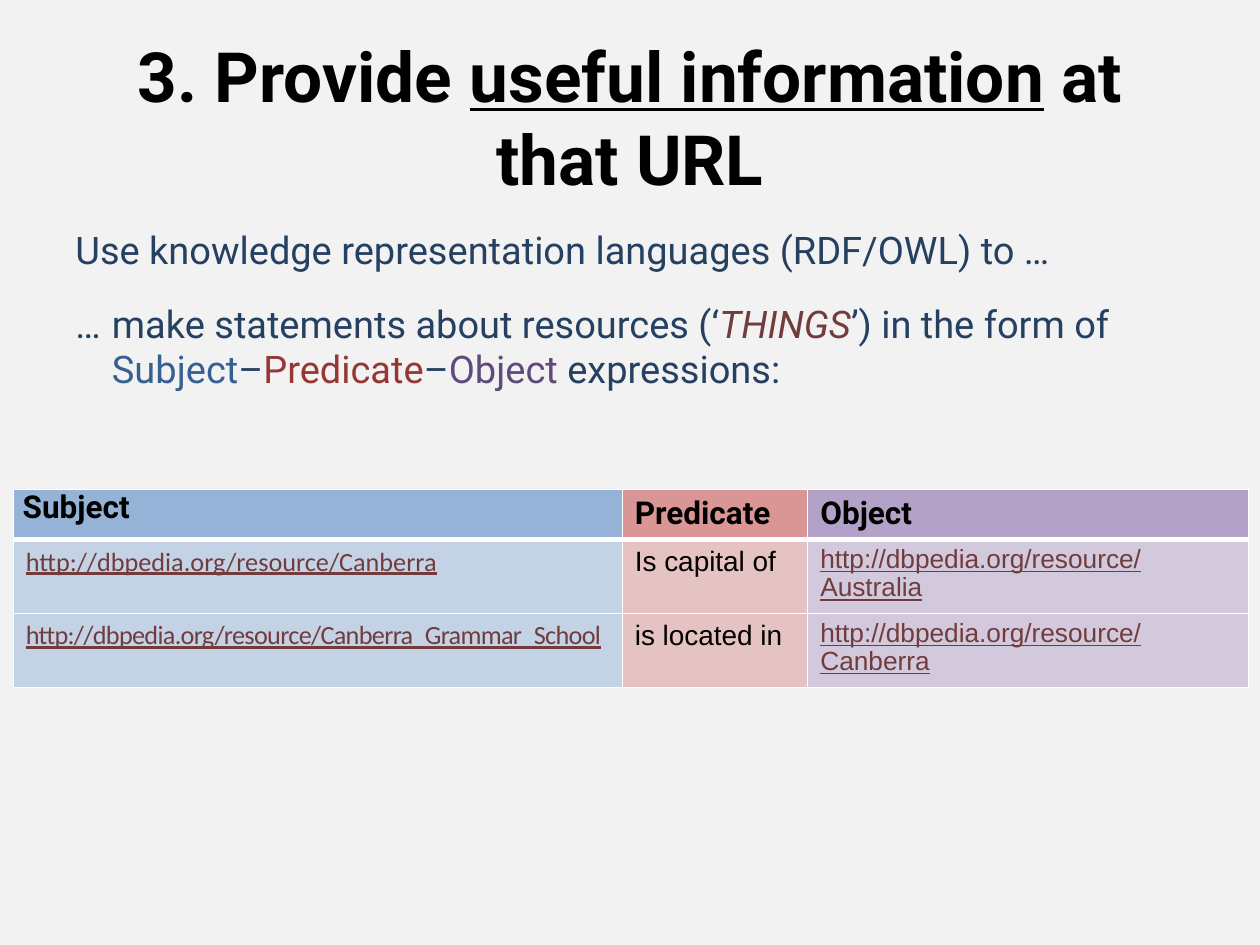
from lxml import etree
from pptx import Presentation
from pptx.dml.color import RGBColor
from pptx.enum.text import MSO_ANCHOR, PP_ALIGN
from pptx.oxml.ns import qn
from pptx.util import Pt

MIDDLE = MSO_ANCHOR.MIDDLE
CENTER = PP_ALIGN.CENTER
BLACK, NAVY, BROWN, WHITE = "000000", "254061", "723C3D", "FFFFFF"


def rgb(value):
    return RGBColor.from_string(value)


def add_run(paragraph, text, size, color=BLACK, name="Roboto",
            bold=False, italic=False, underline=False):
    run = paragraph.add_run()
    run.text = text
    font = run.font
    font.size, font.name = Pt(size), name
    font.bold, font.italic, font.underline = bold, italic, underline
    font.color.rgb = rgb(color)
    return run


presentation = Presentation()
presentation.slide_width, presentation.slide_height = Pt(720), Pt(540)
slide = presentation.slides.add_slide(presentation.slide_layouts[6])
slide.background.fill.solid()
slide.background.fill.fore_color.rgb = rgb("F2F2F2")

# Title
title = slide.shapes.add_textbox(Pt(36), Pt(21.6), Pt(648), Pt(90)).text_frame
title.word_wrap = True
title.vertical_anchor = MIDDLE
paragraph = title.paragraphs[0]
paragraph.alignment = CENTER
for text, underline in (("3. Provide ", False), ("useful information", True),
                        (" at that URL", False)):
    add_run(paragraph, text, 39.6, bold=True, underline=underline)

# Body text
body = slide.shapes.add_textbox(Pt(36), Pt(126), Pt(639.4), Pt(154)).text_frame
body.word_wrap = True
paragraph = body.paragraphs[0]
paragraph.space_after = Pt(6)
add_run(paragraph, "Use knowledge representation languages (RDF/OWL) to …", 21.7, NAVY)

# Second paragraph with a hanging indent
paragraph = body.add_paragraph()
properties = paragraph._p.get_or_add_pPr()
properties.set("marL", str(Pt(20.9)))
properties.set("indent", str(-Pt(20.9)))
paragraph.space_before, paragraph.space_after = Pt(10), Pt(6)
add_run(paragraph, "…\tmake statements about resources (‘", 21.7, NAVY)
add_run(paragraph, "THINGS", 21.7, BROWN, italic=True)
add_run(paragraph, "’) in the form of", 21.7, NAVY)
paragraph.add_line_break()
for text, color in (("Subject", "376092"), ("–", NAVY), ("Predicate", "953735"),
                    ("–", NAVY), ("Object", "604A7B"), (" expressions:", NAVY)):
    add_run(paragraph, text, 21.7, color)

# Table of statements
statements = [
    ("Subject", "Predicate", "Object"),
    ("http://dbpedia.org/resource/Canberra", "Is capital of",
     "http://dbpedia.org/resource/Australia"),
    ("http://dbpedia.org/resource/Canberra_Grammar_School", "is located in",
     "http://dbpedia.org/resource/Canberra"),
]
column_widths = (348, 106, 252)
row_heights = (28.8, 40.6, 40.6)
column_fills = ("95B3D7", "D99694", "B3A2C7")
column_fonts = (("Calibri", 15), ("Arial", 16), ("Arial", 15))

table = slide.shapes.add_table(3, 3, Pt(7.6), Pt(279.6), Pt(sum(column_widths)),
                               Pt(sum(row_heights))).table
for column, width in zip(table.columns, column_widths):
    column.width = Pt(width)
for row, height in zip(table.rows, row_heights):
    row.height = Pt(height)

for row_index, statement in enumerate(statements):
    for column_index, text in enumerate(statement):
        cell = table.cell(row_index, column_index)
        paragraph = cell.text_frame.paragraphs[0]
        if row_index == 0:
            add_run(paragraph, text, 18, bold=True)
        else:
            name, size = column_fonts[column_index]
            is_address = column_index != 1
            run = add_run(paragraph, text, size, BROWN if is_address else BLACK,
                          name, underline=is_address)
            if column_index == 2:
                paragraph.line_spacing = 0.97
            if (row_index, column_index) == (2, 0):
                run.font._element.set("spc", "-40")

        # Column colour, half transparent below the header
        cell.fill.solid()
        cell.fill.fore_color.rgb = rgb(column_fills[column_index])
        cell_properties = cell._tc.get_or_add_tcPr()
        if row_index > 0:
            color_element = cell_properties.find(".//" + qn("a:srgbClr"))
            etree.SubElement(color_element, qn("a:alpha"), val="50000")

        # White borders, thick under the header
        top = 3 if row_index == 1 else 1
        bottom = 3 if row_index == 0 else 1
        borders = (("a:lnL", 1), ("a:lnR", 1), ("a:lnT", top), ("a:lnB", bottom))
        for position, (tag, width) in enumerate(borders):
            line = etree.Element(qn(tag), w=str(Pt(width)))
            line_fill = etree.SubElement(line, qn("a:solidFill"))
            etree.SubElement(line_fill, qn("a:srgbClr"), val=WHITE)
            cell_properties.insert(position, line)

# The first header cell has tighter margins
subject = table.cell(0, 0)
subject.margin_left = subject.margin_right = Pt(5.4)
subject.margin_top = subject.margin_bottom = Pt(0)

presentation.save("out.pptx")
